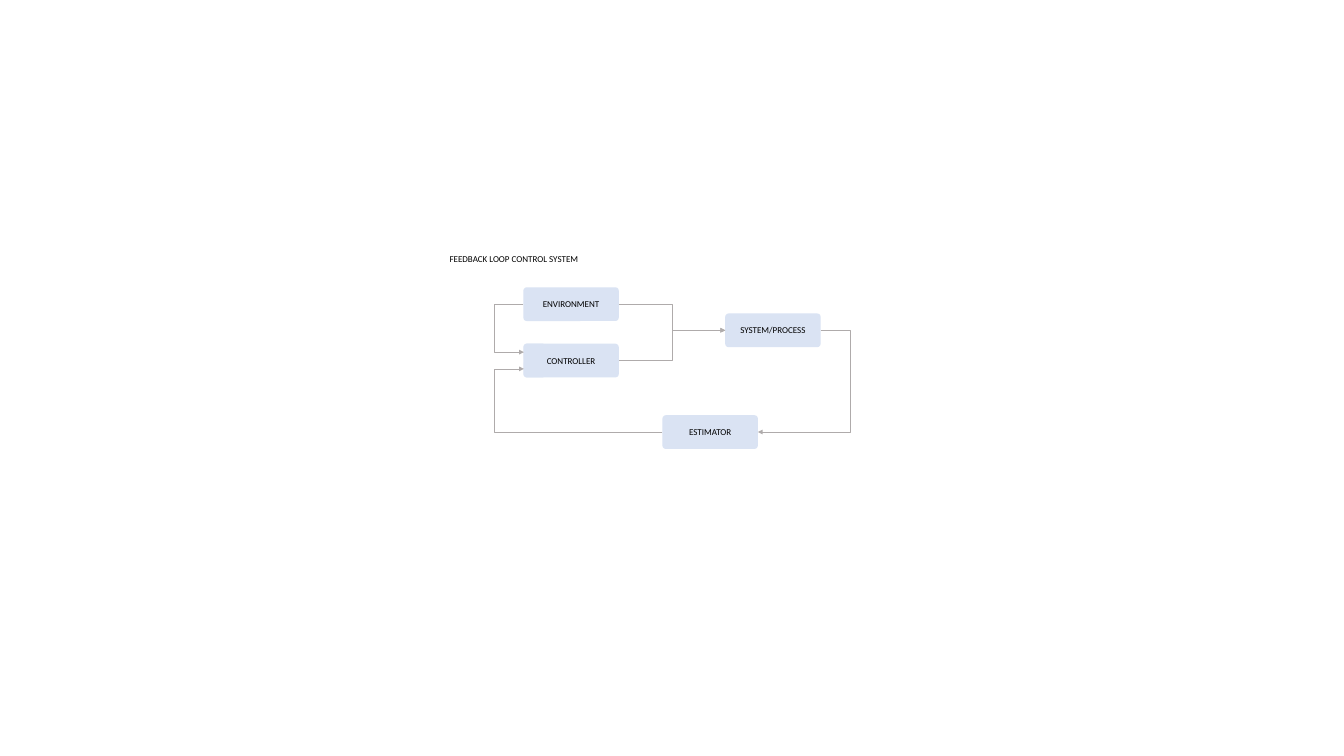
from pptx import Presentation
from pptx.dml.color import RGBColor
from pptx.enum.shapes import MSO_CONNECTOR, MSO_SHAPE
from pptx.enum.text import MSO_ANCHOR, PP_ALIGN
from pptx.oxml.ns import qn
from pptx.util import Inches, Pt
from lxml.etree import SubElement


def rgb(value):
    return RGBColor.from_string(value)


class Diagram:
    """Draw diagram elements on a slide, with lengths in percent of its size."""

    box_size = (7.1, 4.46)
    box_fill = "DAE3F3"
    line_color = "AFABAB"
    font = {"name": "Calibri", "size": Pt(11.2)}
    text_color = "000000"

    def __init__(self, prs):
        self.s = prs.slides.add_slide(prs.slide_layouts[6])
        self.width, self.height = prs.slide_width, prs.slide_height

    def x(self, share):
        return round(self.width * share / 100)

    def y(self, share):
        return round(self.height * share / 100)

    def place(self, left, top, width, height):
        return self.x(left), self.y(top), self.x(width), self.y(height)

    def label(self, sp, text, align, **frame):
        tf = sp.text_frame
        for name, value in {"word_wrap": True, **frame}.items():
            setattr(tf, name, value)
        p = tf.paragraphs[0]
        p.alignment = align
        r = p.add_run()
        r.text = text
        for name, value in self.font.items():
            setattr(r.font, name, value)
        r.font.color.rgb = rgb(self.text_color)

    def title(self, text, left, top, width, height):
        sp = self.s.shapes.add_textbox(*self.place(left, top, width, height))
        self.label(sp, text, PP_ALIGN.LEFT, margin_right=0)

    def panel(self, left, top, width, height, radius):
        sp = self.s.shapes.add_shape(
            MSO_SHAPE.ROUNDED_RECTANGLE, *self.place(left, top, width, height))
        sp.adjustments[0] = radius
        sp.shadow.inherit = False
        sp.fill.solid()
        sp.fill.fore_color.rgb = rgb(self.box_fill)
        sp.line.fill.background()
        return sp

    def box(self, text, left, top):
        sp = self.panel(left, top, *self.box_size, 0.1)
        self.label(sp, text, PP_ALIGN.CENTER, vertical_anchor=MSO_ANCHOR.MIDDLE)
        return sp

    def port(self, left, top):
        return self.panel(left, top, 1.6, self.box_size[1] / 2, 0.17)

    def arrow(self, start, start_side, end, end_side, lane):
        cxn = self.s.shapes.add_connector(MSO_CONNECTOR.ELBOW, 0, 0, 0, 0)
        cxn.begin_connect(start, start_side)
        cxn.end_connect(end, end_side)
        cxn.line.color.rgb = rgb(self.line_color)
        cxn.line.width = Pt(0.5)
        bend = (self.x(lane) - cxn.begin_x) / (cxn.end_x - cxn.begin_x)
        guides = cxn._element.spPr.find(qn("a:prstGeom")).get_or_add_avLst()
        SubElement(guides, qn("a:gd"), name="adj1", fmla=f"val {round(bend * 100000)}")
        SubElement(cxn.line._get_or_add_ln(), qn("a:tailEnd"), type="triangle")
        SubElement(cxn._element.spPr, qn("a:effectLst"))


def main():
    prs = Presentation()
    prs.slide_width, prs.slide_height = Inches(23.11), Inches(13)
    d = Diagram(prs)
    left, right = 1, 3
    input_x, controller_y = 38.94, 45.46
    left_lane, middle_lane, right_lane = 36.76, 50.02, 63.26

    d.title("FEEDBACK LOOP CONTROL SYSTEM", 33.02, 33.15, 10.43, 3.69)
    environment = d.box("ENVIRONMENT", input_x, 38)
    controller = d.box("CONTROLLER", input_x, controller_y)
    process = d.box("SYSTEM/PROCESS", 53.96, 41.46)
    estimator = d.box("ESTIMATOR", 49.29, 54.92)
    for source in (environment, controller):
        d.arrow(source, right, process, left, middle_lane)
    d.arrow(process, right, estimator, right, right_lane)
    for row, source in enumerate((environment, estimator)):
        port = d.port(input_x + 0.04, controller_y + row * d.box_size[1] / 2)
        d.arrow(source, left, port, left, left_lane)
    prs.save("out.pptx")


if __name__ == "__main__":
    main()
